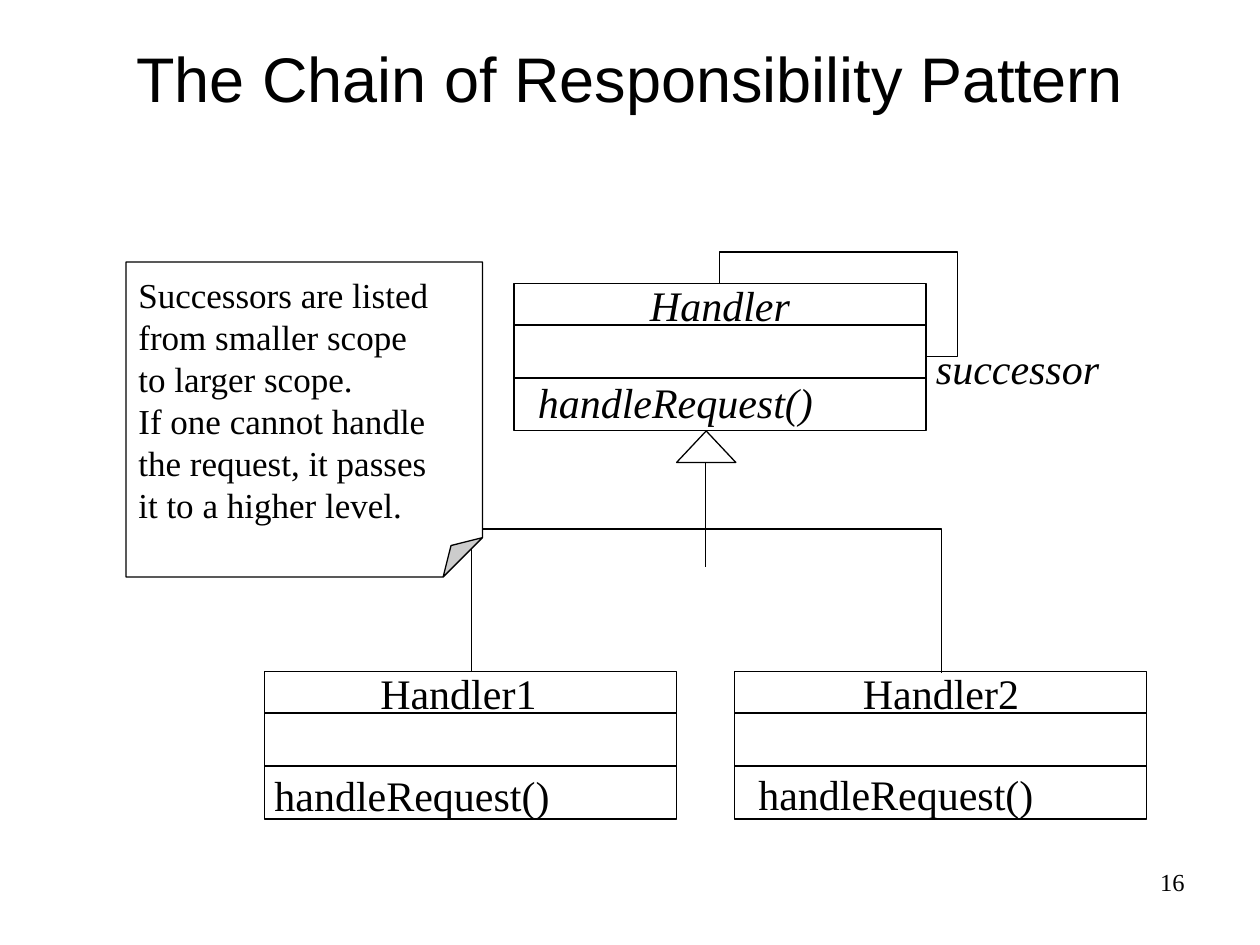
from dataclasses import dataclass

import pptx
import pptx.dml.color
import pptx.enum.shapes
import pptx.enum.text
import pptx.oxml
import pptx.oxml.ns
import pptx.util
from pptx.util import Inches

BLACK = "000000"
WHITE = "FFFFFF"
SERIF = "Times New Roman"
BOX_WIDTH, BOX_HEIGHT = 3.27, 1.17
DIVIDERS = (0.33, 0.75)
LINE_WIDTH = 0.75
MSO_SHAPE = pptx.enum.shapes.MSO_SHAPE
CONNECTOR = pptx.enum.shapes.MSO_CONNECTOR
ALIGN = pptx.enum.text.PP_ALIGN
ANCHOR = pptx.enum.text.MSO_ANCHOR


@dataclass
class ClassBox:
    left: float
    top: float


@dataclass
class Label:
    text: str
    left: float
    top: float
    width: float
    height: float = 0.5
    size: int = 24
    italic: bool = False
    font: str = SERIF
    align: ALIGN = ALIGN.LEFT
    anchor: ANCHOR = ANCHOR.TOP


CLASS_BOXES = [ClassBox(4.08, 2.25), ClassBox(5.83, 5.33), ClassBox(2.1, 5.33)]

LABELS = [
    Label("The Chain of Responsibility Pattern", 0.5, 0.3, 9, 0.62, 36,
          font="Arial", align=ALIGN.CENTER, anchor=ANCHOR.MIDDLE),
    Label("successor", 7.33, 2.67, 1.73, italic=True),
    Label("Handler", 5.06, 2.17, 1.48, italic=True),
    Label("Handler1", 2.92, 5.25, 2.67),
    Label("Handler2", 6.75, 5.25, 2.67),
    Label("handleRequest()", 4.17, 2.94, 2.83, italic=True),
    Label("handleRequest()", 5.92, 6.05, 2.83),
    Label("handleRequest()", 2.08, 6.06, 2.83),
    Label("16", 7.17, 6.83, 2.33, 0.52, 14, align=ALIGN.RIGHT),
]

NOTE_LINES = [
    "Successors are listed",
    "from smaller scope",
    "to larger scope.",
    "If one cannot handle",
    "the request, it passes",
    "it to a higher level.",
]


def color(value: str) -> pptx.dml.color.RGBColor:
    return pptx.dml.color.RGBColor.from_string(value)


def style_line(line) -> None:
    line.color.rgb = color(BLACK)
    line.width = pptx.util.Pt(LINE_WIDTH)


def add_outlined_shape(shapes, kind, left: float, top: float, width: float, height: float):
    shape = shapes.add_shape(kind, Inches(left), Inches(top), Inches(width), Inches(height))
    shape.shadow.inherit = False
    shape.fill.solid()
    shape.fill.fore_color.rgb = color(WHITE)
    style_line(shape.line)
    return shape


def add_line(shapes, start: tuple[float, float], end: tuple[float, float],
             kind=CONNECTOR.STRAIGHT):
    line = shapes.add_connector(kind, *map(Inches, start + end))
    style_line(line.line)
    line._element.spPr.append(pptx.oxml.parse_xml(
        f"<a:effectLst {pptx.oxml.ns.nsdecls('a')}/>"))
    return line


def set_geometry(shape, preset: str, **ratios: float) -> None:
    """Set the preset outline and its named adjustments, given as ratios."""
    geometry = shape._element.spPr.find(pptx.oxml.ns.qn("a:prstGeom"))
    geometry.set("prst", preset)
    guides = "".join(f'<a:gd name="{name}" fmla="val {round(ratio * 100000)}"/>'
                     for name, ratio in ratios.items())
    for old in list(geometry):
        geometry.remove(old)
    geometry.append(pptx.oxml.parse_xml(
        f"<a:avLst {pptx.oxml.ns.nsdecls('a')}>{guides}</a:avLst>"))


def add_class_box(slide, box: ClassBox) -> None:
    group = slide.shapes.add_group_shape()
    add_outlined_shape(group.shapes, MSO_SHAPE.RECTANGLE,
                       box.left, box.top, BOX_WIDTH, BOX_HEIGHT)
    for offset in DIVIDERS:
        y = box.top + offset
        add_line(group.shapes, (box.left, y), (box.left + BOX_WIDTH, y))


def add_run(paragraph, text: str, size: int, font: str = SERIF, italic: bool = False) -> None:
    run = paragraph.add_run()
    run.text = text
    run.font.size = pptx.util.Pt(size)
    run.font.name = font
    run.font.italic = italic
    run.font.color.rgb = color(BLACK)


def add_label(slide, label: Label) -> None:
    text_box = slide.shapes.add_textbox(Inches(label.left), Inches(label.top),
                                        Inches(label.width), Inches(label.height))
    frame = text_box.text_frame
    frame.word_wrap = True
    frame.vertical_anchor = label.anchor
    paragraph = frame.paragraphs[0]
    paragraph.alignment = label.align
    add_run(paragraph, label.text, label.size, label.font, label.italic)


def add_inheritance(slide) -> None:
    # The elbow is turned a quarter, so its width is the drop between both ends.
    drop, rise = 0.01, 1.15
    branches = add_line(slide.shapes, (5.6 + drop, 3.47), (5.6, 7.2), CONNECTOR.ELBOW)
    branches._element.spPr.find(pptx.oxml.ns.qn("a:xfrm")).set("rot", str(270 * 60000))
    set_geometry(branches, "bentConnector3", adj1=-rise / drop)
    add_line(slide.shapes, (5.6, 3.67), (5.6, 4.5))
    add_outlined_shape(slide.shapes, MSO_SHAPE.ISOSCELES_TRIANGLE, 5.37, 3.42, 0.47, 0.25)


def add_successor_loop(slide) -> None:
    loop = add_line(slide.shapes, (7.35, 2.83), (5.71, 2.25), CONNECTOR.ELBOW)
    set_geometry(loop, "bentConnector4", adj1=-0.25 / 1.64, adj2=0.83 / 0.58)


def add_note(slide) -> None:
    note = add_outlined_shape(slide.shapes, MSO_SHAPE.FOLDED_CORNER, 1, 2.08, 2.83, 2.5)
    set_geometry(note, "foldedCorner", adj=0.125)
    frame = note.text_frame
    frame.word_wrap = False
    frame.vertical_anchor = ANCHOR.MIDDLE
    for index, text in enumerate(NOTE_LINES):
        paragraph = frame.add_paragraph() if index else frame.paragraphs[0]
        paragraph.alignment = ALIGN.LEFT
        add_run(paragraph, text, 20)


def main() -> None:
    presentation = pptx.Presentation()
    presentation.slide_width = Inches(10)
    presentation.slide_height = Inches(7.5)
    slide = presentation.slides.add_slide(presentation.slide_layouts[6])
    for box in CLASS_BOXES:
        add_class_box(slide, box)
    add_inheritance(slide)
    add_successor_loop(slide)
    for label in LABELS:
        add_label(slide, label)
    add_note(slide)
    presentation.save("out.pptx")


if __name__ == "__main__":
    main()
